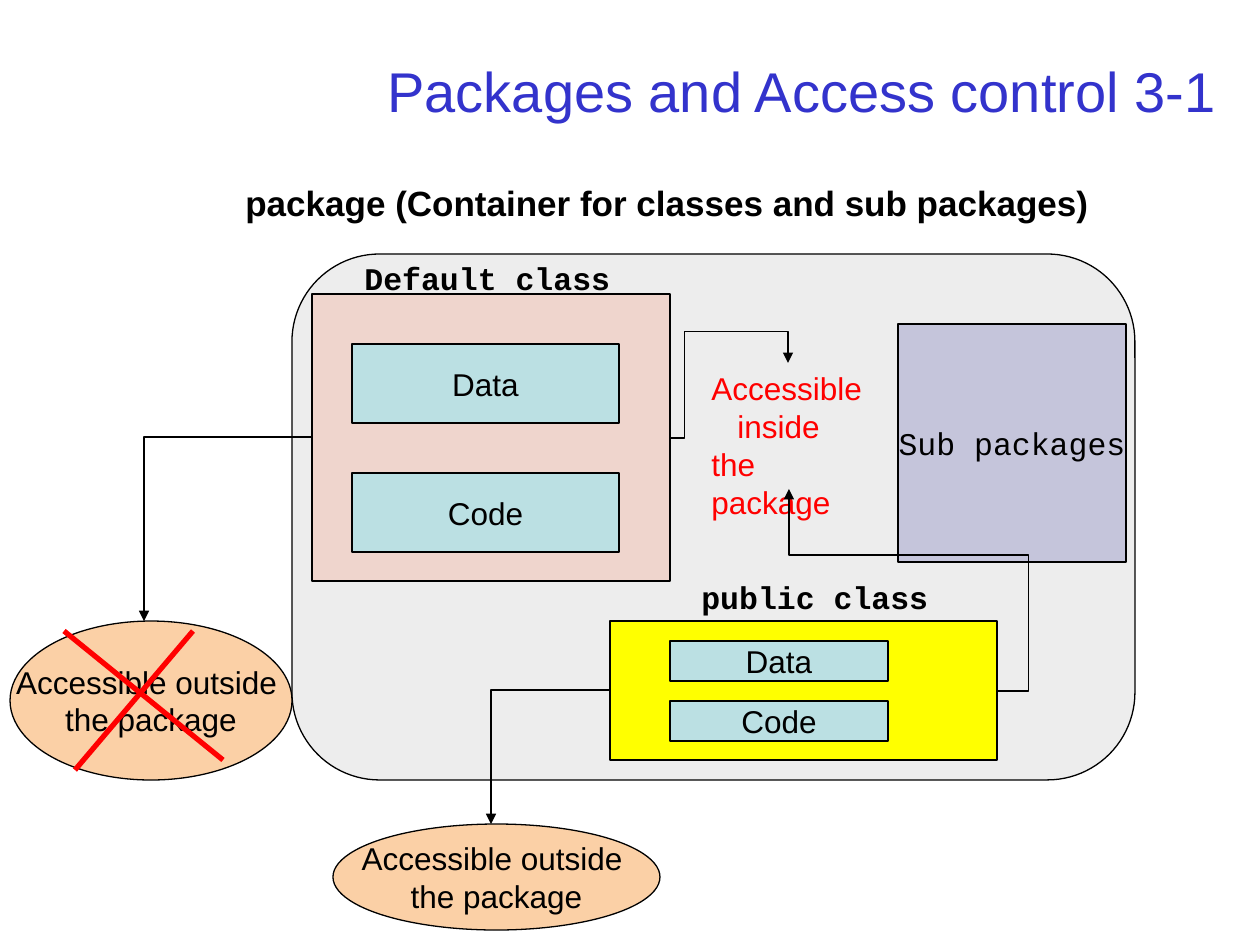
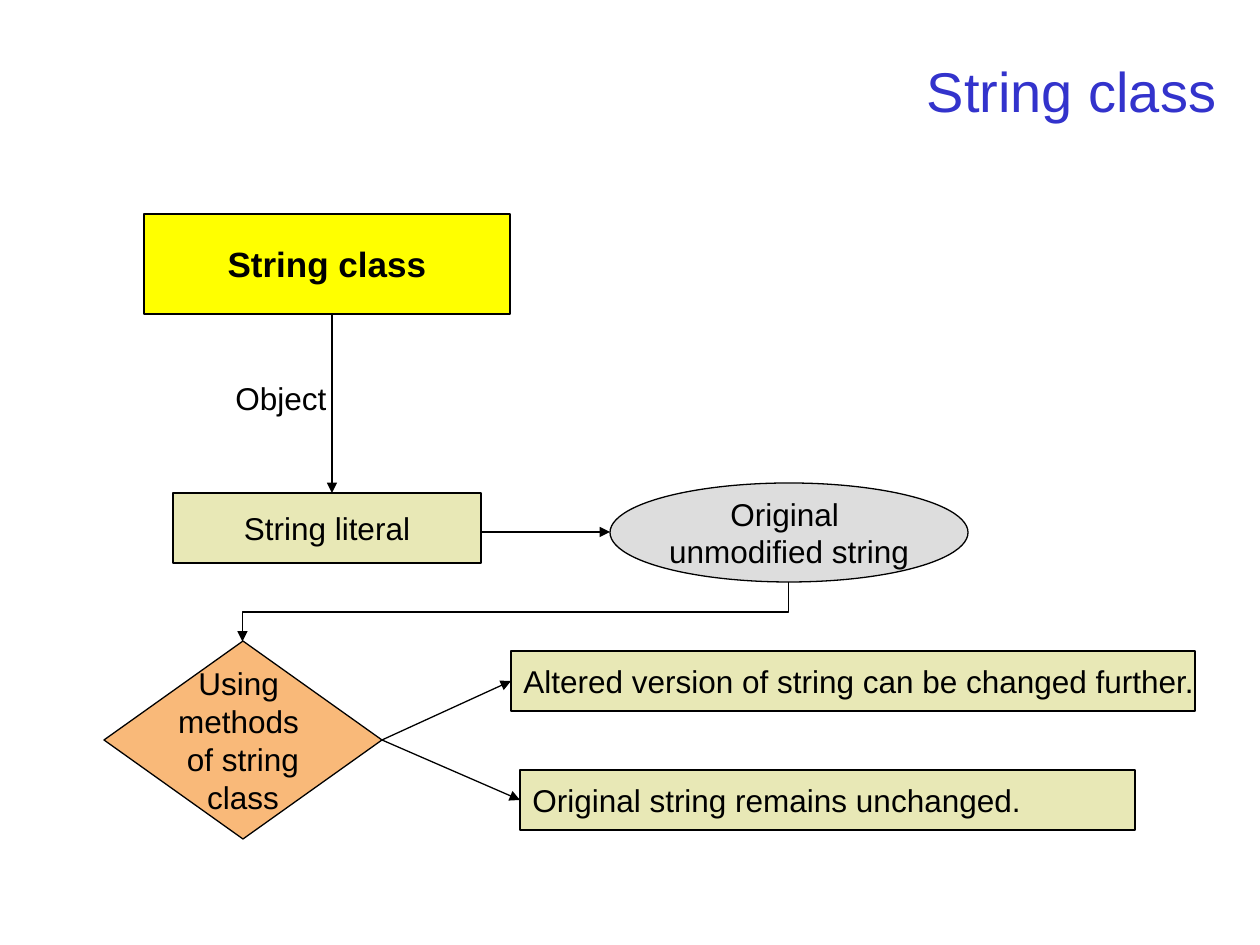
from dataclasses import dataclass

from lxml import etree
from pptx import Presentation
from pptx.dml.color import RGBColor
from pptx.enum.shapes import MSO_CONNECTOR, MSO_SHAPE
from pptx.enum.text import MSO_ANCHOR, MSO_AUTO_SIZE, PP_ALIGN
from pptx.oxml.ns import qn
from pptx.util import Pt

RECT, OVAL, DIAMOND = MSO_SHAPE.RECTANGLE, MSO_SHAPE.OVAL, MSO_SHAPE.DIAMOND
ROUNDED = MSO_SHAPE.FLOWCHART_ALTERNATE_PROCESS
STRAIGHT, ELBOW = MSO_CONNECTOR.STRAIGHT, MSO_CONNECTOR.ELBOW
LEFT, CENTER, RIGHT = PP_ALIGN.LEFT, PP_ALIGN.CENTER, PP_ALIGN.RIGHT
TOP, MIDDLE = MSO_ANCHOR.TOP, MSO_ANCHOR.MIDDLE
FIT, FIXED = MSO_AUTO_SIZE.SHAPE_TO_FIT_TEXT, MSO_AUTO_SIZE.NONE


@dataclass(frozen=True)
class Theme:
    sans: str = "Arial"
    mono: str = "Courier New"
    title_size: int = 32
    head_size: int = 20
    body_size: int = 18
    title: str = "3333CC"
    ink: str = "000000"
    alert: str = "FF0000"
    grey: str = "DDDDDD"
    rose: str = "F3B6A1"
    teal: str = "BBE0E3"
    indigo: str = "333399"
    yellow: str = "FFFF00"
    orange: str = "F9B979"
    khaki: str = "E8E8B6"
    thin: float = 0.75
    thick: float = 3


T = Theme()


def px(n):
    return round(n * 914400 / 126)


def rgb(color):
    return RGBColor.from_string(color)


def write(tf, lines, size=T.body_size, color=T.ink, font=T.sans, bold=False, align=LEFT):
    for i, line in enumerate(lines):
        p = tf.paragraphs[0] if i == 0 else tf.add_paragraph()
        p.text = line
        p.alignment = align
        p.font.size = Pt(size)
        p.font.name = font
        p.font.bold = bold
        p.font.color.rgb = rgb(color)


def label(s, x, y, w, h, lines, anchor=TOP, fit=FIT, **style):
    sp = s.shapes.add_textbox(px(x), px(y), px(w), px(h))
    tf = sp.text_frame
    tf.word_wrap = True
    tf.auto_size = fit
    tf.vertical_anchor = anchor
    write(tf, lines, **style)
    return sp


def block(s, kind, x, y, w, h, fill, lines=(), alpha=None, align=CENTER, **style):
    sp = s.shapes.add_shape(kind, px(x), px(y), px(w), px(h))
    sp.shadow.inherit = False
    sp.fill.solid()
    sp.fill.fore_color.rgb = rgb(fill)
    if alpha:
        clr = sp.fill._xPr.find(".//" + qn("a:srgbClr"))
        etree.SubElement(clr, qn("a:alpha"), val=str(alpha * 1000))
    sp.line.color.rgb = rgb(T.ink)
    sp.line.width = Pt(T.thin)
    tf = sp.text_frame
    tf.word_wrap = False
    tf.vertical_anchor = MIDDLE
    write(tf, lines, align=align, **style)


def line(s, x1, y1, x2, y2, kind=STRAIGHT, color=T.ink, width=T.thin, arrow=True):
    c = s.shapes.add_connector(kind, px(x1), px(y1), px(x2), px(y2))
    c.line.color.rgb = rgb(color)
    c.line.width = Pt(width)
    if arrow:
        etree.SubElement(c.line._get_or_add_ln(), qn("a:tailEnd"), type="triangle")
    etree.SubElement(c._element.spPr, qn("a:effectLst"))
    return c


def elbow(s, x, y, w, h, bends, adjust=(), **turn):
    c = line(s, x, y, x + w, y + h, ELBOW)
    spPr = c._element.spPr
    for key, value in turn.items():
        spPr.find(qn("a:xfrm")).set(key, str(value))
    geom = spPr.find(qn("a:prstGeom"))
    geom.set("prst", f"bentConnector{bends}")
    guides = geom.find(qn("a:avLst"))
    for i, value in enumerate(adjust, 1):
        etree.SubElement(guides, qn("a:gd"), name=f"adj{i}", fmla=f"val {value}")


def titled_slide(prs, title):
    s = prs.slides.add_slide(prs.slide_layouts[6])
    label(s, 95, 35, 1134, 110, [title], MIDDLE, FIXED,
          size=T.title_size, color=T.title, align=RIGHT)
    return s


def class_members(s, x, y, w, h, step):
    for i, member in enumerate(("Data", "Code")):
        block(s, RECT, x, y + i * step, w, h, T.teal, [member])


def default_class(s, x, y, w, h):
    block(s, RECT, x, y, w, h, T.rose, alpha=42)
    class_members(s, x + 40, y + 50, 267, 79, 129)
    label(s, x + 40, y - 41, 287, 50, ["Default class"], font=T.mono, bold=True)


def public_class(s, x, y, w, h):
    block(s, RECT, x, y, w, h, T.yellow)
    class_members(s, x + 60, y + 20, 218, 40, 60)
    label(s, x + 79, y - 49, 278, 50, ["public class"], font=T.mono, bold=True)


def inside_note(s, x, y, w, h):
    sp = label(s, x, y, w, h, ["Accessible", "inside the package"], color=T.alert)
    pPr = sp.text_frame.paragraphs[1]._p.get_or_add_pPr()
    pPr.set("marL", "0")
    pPr.set("indent", str(px(26)))
    elbow(s, x - 29, y, 118, 75, 4, (12500, 142200), flipV=1)
    elbow(s, x + 90, y + 126, 208, 202, 4, (-15100, 67300), flipH=1, flipV=1)


def package_area(s, x, y, w, h):
    block(s, ROUNDED, x, y, w, h, T.grey, alpha=52)
    label(s, x - 59, y - 79, 883, 55, ["package (Container for classes and sub packages)"],
          size=T.head_size, bold=True)
    default_class(s, x + 20, y + 40, 358, 287)
    block(s, RECT, x + 606, y + 70, 228, 238, T.indigo, ["Sub packages"],
          alpha=21, font=T.mono)
    public_class(s, x + 318, y + 367, 387, 139)
    inside_note(s, x + 407, y + 109, 179, 164)


def outside_note(s, x, y, w, h, entry, run, drop):
    elbow(s, x + entry, y - drop, run, drop, 2, rot=10800000, flipV=1)
    block(s, OVAL, x, y, w, h, T.orange, ["Accessible outside ", "the package"], alpha=66)


def cross_out(s, x, y):
    for x1, x2, y2 in ((54, 213, 139), (183, 65, 149)):
        line(s, x + x1, y + 10, x + x2, y + y2, color=T.alert, width=T.thick, arrow=False)


def string_flow(s, x, y):
    block(s, RECT, x + 40, y, 366, 100, T.yellow, ["String class"],
          size=T.head_size, bold=True)
    line(s, x + 228, y + 100, x + 228, y + 279)
    block(s, RECT, x + 69, y + 279, 308, 70, T.khaki, ["String literal"])
    label(s, x + 119, y + 159, 159, 50, ["Object"])
    line(s, x + 377, y + 318, x + 506, y + 318)
    block(s, OVAL, x + 506, y + 269, 358, 99, T.grey, ["Original ", "unmodified string"])
    block(s, DIAMOND, x, y + 427, 278, 198, T.orange,
          ["Using ", "methods ", "of string", "class"])
    elbow(s, x + 382, y + 125, 59, 546, 3, (50000,), rot=5400000)
    outcomes = (
        (407, 437, 684, "Altered version of string can be changed further."),
        (416, 556, 615, "Original string remains unchanged."),
    )
    for left, top, w, text in outcomes:
        line(s, x + 278, y + 526, x + left, y + top + 30)
        block(s, RECT, x + left, y + top, w, 60, T.khaki, [text], align=LEFT)


def main():
    prs = Presentation()
    prs.slide_width, prs.slide_height = px(1260), px(945)

    s = titled_slide(prs, "Packages and Access control 3-1")
    package_area(s, 292, 254, 843, 526)
    outside_note(s, 10, 621, 282, 159, entry=134, run=168, drop=184)
    cross_out(s, 10, 621)
    outside_note(s, 333, 824, 327, 106, entry=158, run=119, drop=134)

    s = titled_slide(prs, "String class")
    string_flow(s, 104, 214)

    prs.save("out.pptx")


if __name__ == "__main__":
    main()
